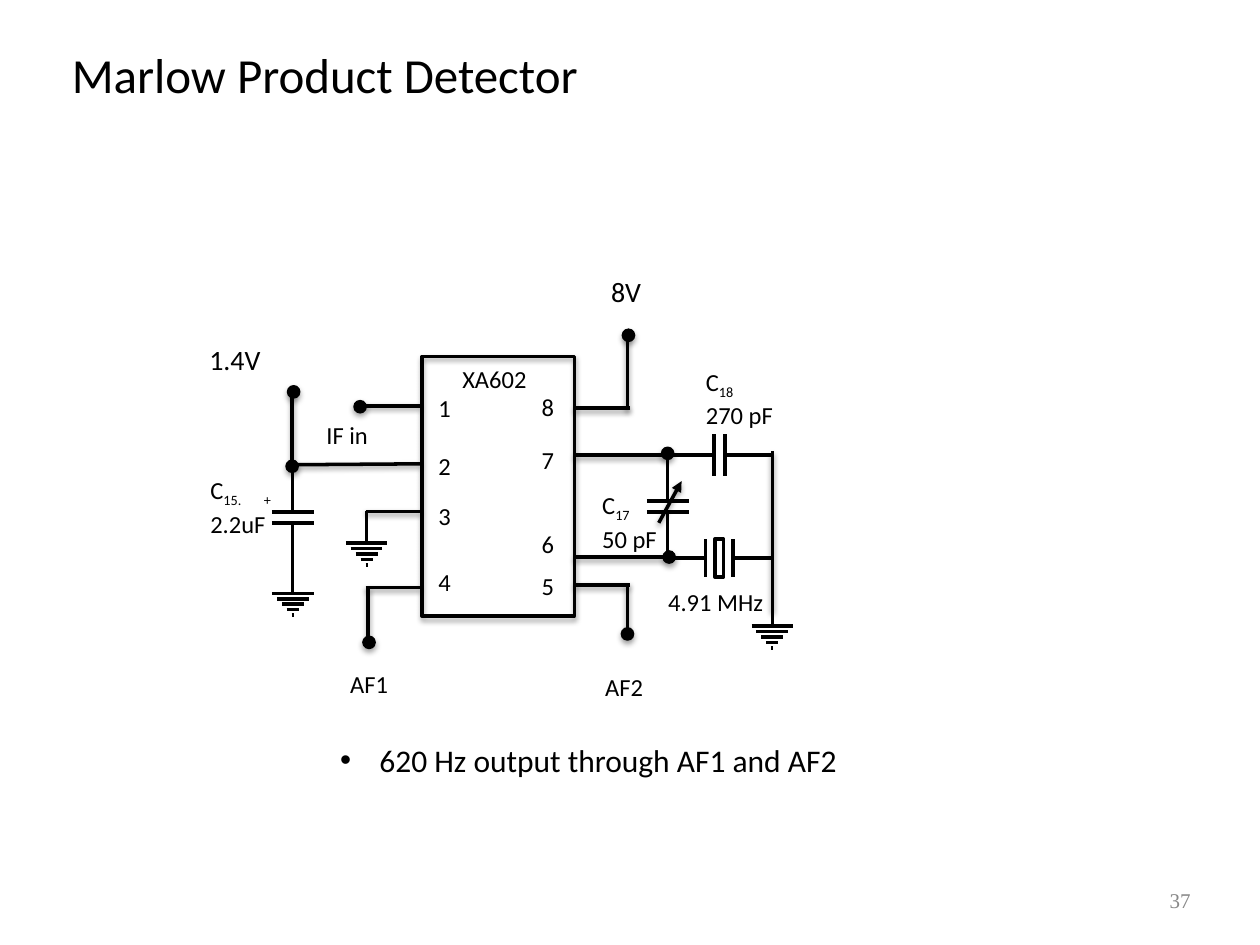
"""Build a slide with the circuit of a product detector."""
from lxml import etree
from pptx import Presentation
from pptx.dml.color import RGBColor
from pptx.enum.shapes import MSO_CONNECTOR, MSO_SHAPE
from pptx.enum.text import MSO_ANCHOR, MSO_AUTO_SIZE, PP_ALIGN
from pptx.oxml.ns import qn
from pptx.util import Cm, Pt

STRAIGHT = MSO_CONNECTOR.STRAIGHT
RECTANGLE, OVAL = MSO_SHAPE.RECTANGLE, MSO_SHAPE.OVAL
TOP, MIDDLE = MSO_ANCHOR.TOP, MSO_ANCHOR.MIDDLE
GROW = MSO_AUTO_SIZE.SHAPE_TO_FIT_TEXT
LEFT, RIGHT = PP_ALIGN.LEFT, PP_ALIGN.RIGHT
COLORS = {"ink": "000000", "number": "888888"}
SUBSCRIPT = "-25000"


class Schematic:
    """Holds the style and the current slide."""

    def __init__(self, page):
        self.page = page
        self.font = {"name": "Calibri", "size": Pt(14), "bold": False}
        self.margins = ("margin_left", "margin_top", "margin_right", "margin_bottom")

    def color(self, name):
        return RGBColor.from_string(COLORS[name])

    def cast_shadow(self, effects, alpha):
        shadow = etree.SubElement(effects, qn("a:outerShdw"), blurRad=str(Pt(3)),
                                  dist=str(Pt(1.8)), dir="5400000", rotWithShape="0")
        tint = etree.SubElement(shadow, qn("a:srgbClr"), val=COLORS["ink"])
        etree.SubElement(tint, qn("a:alpha"), val=str(alpha * 1000))

    def text(self, left, top, width, height, lines, align=LEFT, inset=0.13,
             anchor=TOP, color="ink", **font):
        box = self.page.shapes.add_textbox(Cm(left), Cm(top), Cm(width), Cm(height))
        frame = box.text_frame
        settings = {"word_wrap": True, "auto_size": GROW, "vertical_anchor": anchor}
        settings.update(dict.fromkeys(self.margins, Cm(inset)))
        for name, value in settings.items():
            setattr(frame, name, value)
        for index, line in enumerate(lines):
            para = frame.add_paragraph() if index else frame.paragraphs[0]
            para.alignment = align
            for part, words in enumerate(line):
                span = para.add_run()
                span.text = words
                for name, value in {**self.font, **font}.items():
                    setattr(span.font, name, value)
                span.font.color.rgb = self.color(color)
                if part:
                    span.font._element.set("baseline", SUBSCRIPT)
        return frame.paragraphs[0]

    def bullet(self, *place, **font):
        properties = self.text(*place, **font)._p.get_or_add_pPr()
        properties.set("marL", str(Cm(0.79)))
        properties.set("indent", str(Cm(-0.79)))
        etree.SubElement(properties, qn("a:buFont"), typeface="Arial")
        etree.SubElement(properties, qn("a:buChar"), char="•")

    def part_label(self, left, top, subscript, value, tab=None):
        para = self.text(left, top, 1.88, 1.45, [["C", subscript], [value]])
        if tab:
            stops = etree.SubElement(para._p.get_or_add_pPr(), qn("a:tabLst"))
            etree.SubElement(stops, qn("a:tab"), pos=str(Cm(tab)), algn="l")

    def wire(self, x1, y1, x2, y2, shadow=True, arrow=False):
        wire = self.page.shapes.add_connector(STRAIGHT, Cm(x1), Cm(y1), Cm(x2), Cm(y2))
        wire.line.color.rgb = self.color("ink")
        wire.line.width = Pt(2)
        if arrow:
            etree.SubElement(wire.line._get_or_add_ln(), qn("a:tailEnd"), type="triangle")
        effects = etree.SubElement(wire.element.spPr, qn("a:effectLst"))
        if shadow:
            self.cast_shadow(effects, 38)

    def shape(self, kind, left, top, width, height, line=2, filled=False, shadow=True):
        shape = self.page.shapes.add_shape(kind, Cm(left), Cm(top), Cm(width), Cm(height))
        shape.line.color.rgb = self.color("ink")
        shape.line.width = Pt(line)
        if filled:
            shape.fill.solid()
            shape.fill.fore_color.rgb = self.color("ink")
        else:
            shape.fill.background()
        shape.shadow.inherit = False
        if shadow:
            self.cast_shadow(shape.element.spPr.find(qn("a:effectLst")), 35)

    def dot(self, x, y, size=0.25):
        self.shape(OVAL, x - size / 2, y - size / 2, size, size, line=0.75, filled=True)

    def capacitor(self, x, y, upright=True, gap=0.11, half=0.42, reach=1.06):
        for side in (-1, 1):
            near, far = side * gap, side * reach
            for start, end in (((0, near), (0, far)), ((-half, near), (half, near))):
                if not upright:
                    start, end = start[::-1], end[::-1]
                self.wire(x + start[0], y + start[1], x + end[0], y + end[1], shadow=False)

    def crystal(self, x, y):
        self.capacitor(x, y, upright=False, gap=0.28, half=0.38, reach=1.07)
        self.shape(RECTANGLE, x - 0.09, y - 0.38, 0.18, 0.76, shadow=False)

    def ground(self, x, y):
        self.wire(x, y - 0.64, x, y, shadow=False)
        for step in range(5):
            half, level = 0.42 - 0.1 * step, y + 0.11 * step
            self.wire(x - half, level, x + half, level, shadow=False)


def main():
    deck = Presentation()
    deck.slide_width, deck.slide_height = Cm(25.4), Cm(19.05)
    circuit = Schematic(deck.slides.add_slide(deck.slide_layouts[6]))

    circuit.text(1.45, 0.89, 11.5, 1.19, [["Marlow Product Detector"]],
                 inset=0, size=Pt(28))
    circuit.bullet(6.73, 14.81, 11.89, 1.02, [["620 Hz output through AF1 and AF2"]],
                   size=Pt(18))
    circuit.text(18.21, 17.78, 5.92, 0.74, [["37"]], align=RIGHT, anchor=MIDDLE,
                 color="number", name="Times New Roman", size=Pt(12))

    circuit.shape(RECTANGLE, 8.51, 7.19, 3.07, 5.23)
    circuit.text(9.32, 7.34, 1.8, 0.61, [["XA602"]], inset=0)
    pin_columns = (
        (8.71, LEFT, {"1": 7.8, "2": 8.97, "3": 9.98, "4": 11.3}),
        (9.37, RIGHT, {"8": 7.77, "7": 8.84, "6": 10.54, "5": 11.38}),
    )
    for left, align, pins in pin_columns:
        for pin, top in pins.items():
            circuit.text(left, top, 1.93, 0.86, [[pin]], align=align)

    for ends in (
        (5.87, 9.37, 8.48, 9.35), (7.37, 10.31, 8.48, 10.31),
        (11.56, 8.23, 12.7, 8.23), (12.65, 6.73, 12.65, 8.26),
        (7.37, 11.84, 8.48, 11.84), (11.56, 11.79, 12.7, 11.79),
        (11.56, 9.17, 13.44, 9.17), (15.57, 9.09, 15.57, 12.32),
        (7.42, 11.84, 7.42, 12.85), (12.65, 11.76, 12.65, 12.8),
        (7.34, 8.18, 8.48, 8.18), (11.56, 11.23, 13.46, 11.23),
        (5.89, 7.87, 5.89, 9.4),
    ):
        circuit.wire(*ends)

    circuit.capacitor(5.9, 10.43)
    circuit.capacitor(13.46, 10.21)
    circuit.capacitor(14.5, 9.17, upright=False)
    circuit.crystal(14.5, 11.25)
    circuit.wire(13.28, 10.54, 13.74, 9.7, arrow=True)
    for x, y in ((5.9, 11.96), (7.39, 10.95), (15.57, 12.62)):
        circuit.ground(x, y)
    for x, y in ((12.67, 6.76), (13.46, 9.14), (12.65, 12.78), (7.44, 12.95),
                 (7.26, 8.2), (13.49, 11.23), (5.92, 7.9), (5.89, 9.4)):
        circuit.dot(x, y)

    circuit.part_label(14.1, 7.26, "18", "270 pF")
    circuit.part_label(4.11, 9.45, "15.\t+", "2.2uF", tab=1.08)
    circuit.part_label(12.01, 9.75, "17", "50 pF")
    for left, top, width, words in (
        (13.34, 11.71, 2.18, "4.91 MHz"), (12.07, 13.41, 2.18, "AF2"),
        (6.93, 13.36, 2.18, "AF1"), (6.45, 8.33, 1.63, "IF in"),
    ):
        circuit.text(left, top, width, 0.86, [[words]])
    for left, top, width, words in ((12.19, 5.41, 0.99, "8V"), (4.09, 6.78, 1.6, "1.4V")):
        circuit.text(left, top, width, 0.94, [[words]], size=Pt(16))

    deck.save("out.pptx")


if __name__ == "__main__":
    main()
